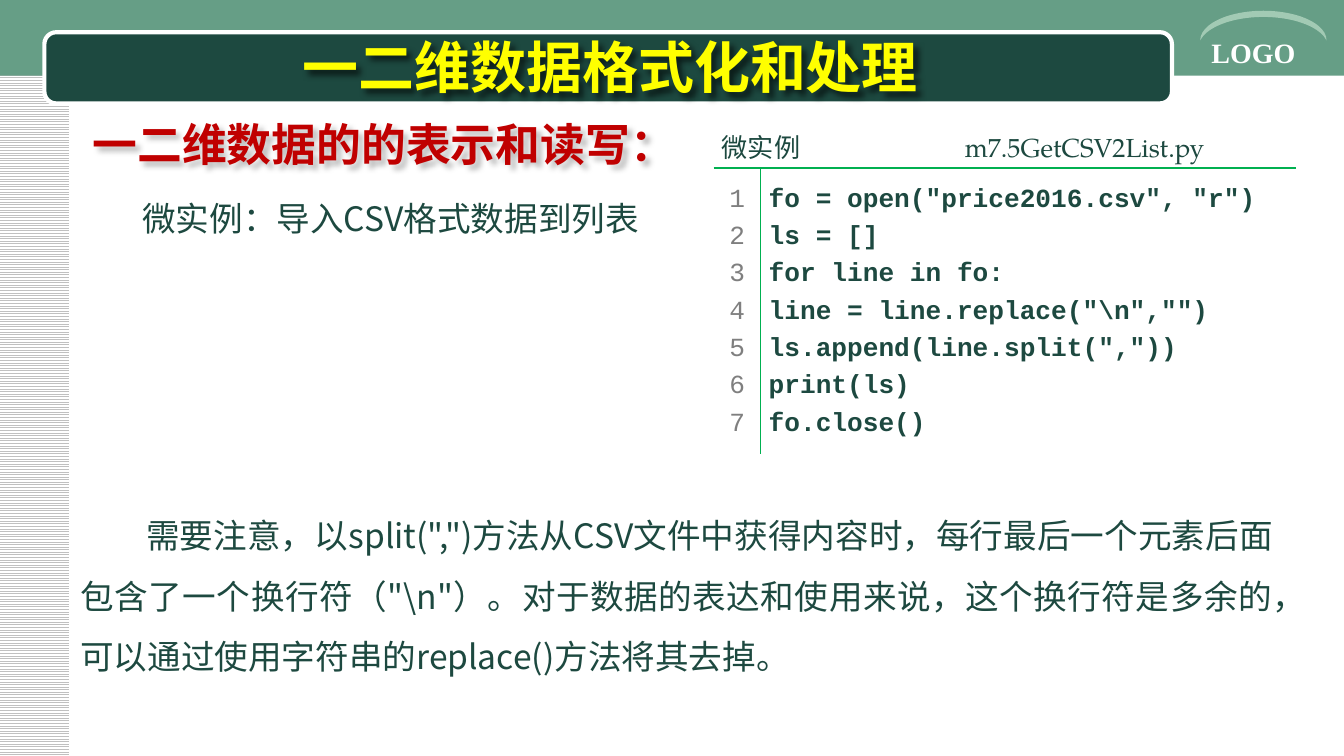
from lxml import etree
from pptx import Presentation
from pptx.dml.color import RGBColor
from pptx.enum.dml import MSO_PATTERN
from pptx.enum.shapes import MSO_SHAPE
from pptx.enum.text import MSO_ANCHOR, PP_ALIGN
from pptx.oxml import parse_xml
from pptx.oxml.ns import nsdecls, qn
from pptx.util import Inches, Pt

RECT, ROUND, MOON = MSO_SHAPE.RECTANGLE, MSO_SHAPE.ROUNDED_RECTANGLE, MSO_SHAPE.MOON
LEFT, MID, JUST = PP_ALIGN.LEFT, PP_ALIGN.CENTER, PP_ALIGN.JUSTIFY
CENTER = MSO_ANCHOR.MIDDLE
SANS, SERIF, MONO = "Noto Sans CJK SC", "TeX Gyre Pagella", "Courier New"
DARK, GREEN, WHITE, GREY = "1D4940", "00B050", "FFFFFF", "7F7F7F"
hue = RGBColor.from_string

prs = Presentation()
prs.slide_width = Inches(10)
prs.slide_height = prs.slide_width * 9 // 16
unit = prs.slide_width / 100  # square grid, 100 columns wide
slide = prs.slides.add_slide(prs.slide_layouts[5])
shapes = slide.shapes


def box(*cells):
    return [round(n * unit) for n in cells]


def write(frame, text, size=18, font=SANS, color=DARK, bold=False, align=LEFT,
          indent=0, space=None):
    frame.word_wrap = True
    for i, line in enumerate(text.split("\n")):
        para = frame.paragraphs[0] if i == 0 else frame.add_paragraph()
        para.alignment, para.line_spacing = align, space
        if indent:
            para._p.get_or_add_pPr().set("indent", str(box(indent)[0]))
        run = para.add_run()
        run.text = line
        run.font.size, run.font.bold, run.font.name = Pt(size), bold, font
        run.font.color.rgb = hue(color)
        latin = run._r.get_or_add_rPr().find(qn("a:latin"))
        latin.addnext(etree.Element(qn("a:ea"), typeface=SANS))


# Frame: side strip, top band, title bar and arc
for kind, place, color in [
    (RECT, (-0.1, 0, 5.25, 56.25), None),
    (RECT, (0, 0, 100.1, 5.63), "669E86"),
    (ROUND, (3.3, 2.4, 83.9, 5.3), DARK),
    (MOON, (92.9, -2.8, 2.2, 9.4), "A2CAB4"),
]:
    part = shapes.add_shape(kind, *box(*place))
    part.shadow.inherit = False
    part.line.fill.background()
    if color:
        part.fill.solid()
        part.fill.fore_color.rgb = hue(color)
    else:
        part.fill.patterned()
        part.fill.pattern = MSO_PATTERN.LIGHT_HORIZONTAL
        part.fill.fore_color.rgb = hue("C0C0C0")
        part.fill.back_color.rgb = hue(WHITE)
    if kind == ROUND:
        part.line.color.rgb, part.line.width = hue(WHITE), Pt(2.25)
    if kind == MOON:
        part.rotation, part.adjustments[0] = 90, 0.21

# Title
title = shapes.title
title.left, title.top, title.width, title.height = box(5, 2.6, 80.8, 4.6)
title.text_frame.vertical_anchor = CENTER
write(title.text_frame, "一二维数据格式化和处理", size=30, color="FFFF00", bold=True,
      align=MID)
shapes._spTree.append(title._element)

# Text blocks
note = ('需要注意，以split(",")方法从CSV文件中获得内容时，每行最后一个元素后面包含了一个换行符'
        '（"\\n"）。对于数据的表达和使用来说，这个换行符是多余的，'
        '可以通过使用字符串的replace()方法将其去掉。')
parts = []
for place, text, form in [
    ((89.15, 2.15, 10.8, 3.5), "LOGO",
     dict(size=15, font="Times New Roman", color=WHITE, bold=True)),
    ((5.9, 8.2, 43.3, 5), "一二维数据的的表示和读写：",
     dict(size=24, color="C00000", bold=True)),
    ((6.7, 12.7, 65.6, 5.6), "微实例：导入CSV格式数据到列表",
     dict(align=JUST, indent=2.9, space=1.5)),
    ((5, 36.35, 90.7, 14.6), note, dict(align=JUST, indent=4.9, space=1.5)),
]:
    part = shapes.add_textbox(*box(*place))
    write(part.text_frame, text, **form)
    parts.append(part)

# Soft shadows behind the title and the heading
for part, shade in [(title, 60), (parts[1], 25)]:
    part.fill.background()
    part._element.spPr.append(parse_xml(
        f'<a:effectLst {nsdecls("a")}><a:outerShdw blurRad="38100" dist="38100" '
        f'dir="2700000" algn="tl"><a:srgbClr val="000000"><a:alpha val="{shade}000"/>'
        '</a:srgbClr></a:outerShdw></a:effectLst>'))

# Code table
code = r'''fo = open("price2016.csv", "r")
ls = []
for line in fo:
line = line.replace("\n","")
ls.append(line.split(","))
print(ls)
fo.close()'''
count = "\n".join(str(n + 1) for n in range(len(code.split("\n"))))
grid = shapes.add_table(4, 4, *box(53.1, 9.8, 43.3, 24)).table
grid.first_row = grid.horz_banding = False
grid._tbl.tblPr.find(qn("a:tableStyleId")).text = "{2D5ABB26-0587-4C30-8999-92F81FD0307C}"
for col, wide in zip(grid.columns, box(3.5, 11.9, 24.4, 3.5)):
    col.width = wide
for row, high in zip(grid.rows, box(2.7, 0.7, 19.5, 1.1)):
    row.height = high
grid.cell(0, 0).merge(grid.cell(0, 1))
for r in (1, 2, 3):
    grid.cell(r, 1).merge(grid.cell(r, 3))

head = dict(size=14, font=SERIF, space=Pt(18))
body = dict(size=14, font=MONO, space=Pt(20))
words = {
    (0, 0): ("微实例", head),
    (0, 2): ("m7.5GetCSV2List.py", head | dict(align=MID)),
    (2, 0): (count, body | dict(color=GREY, align=MID)),
    (2, 1): (code, body | dict(bold=True, align=JUST)),
}
for r in range(4):
    for c in range(4):
        cell = grid.cell(r, c)
        cell.margin_left = cell.margin_right = Inches(0.06)
        cell.margin_top = cell.margin_bottom = 0
        cell.fill.solid()
        cell.fill.fore_color.rgb = hue(WHITE)
        if (r, c) in words:
            text, form = words[r, c]
            write(cell.text_frame, text, **form)
            if r == 2:
                cell.vertical_anchor = CENTER
        else:
            cell.text_frame.paragraphs[0].font.size = Pt(1)
        # Rule under the header, and rule right of the line numbers
        sides = [("lnL", r > 0 and c == 1), ("lnR", r > 0 and c == 0),
                 ("lnT", r == 1), ("lnB", r == 0)]
        for i, (edge, drawn) in enumerate(sides):
            ink = f'<a:solidFill><a:srgbClr val="{GREEN}"/></a:solidFill>' if drawn else "<a:noFill/>"
            cell._tc.tcPr.insert(i, parse_xml(
                f'<a:{edge} {nsdecls("a")} w="12700">{ink}</a:{edge}>'))

prs.save("out.pptx")
